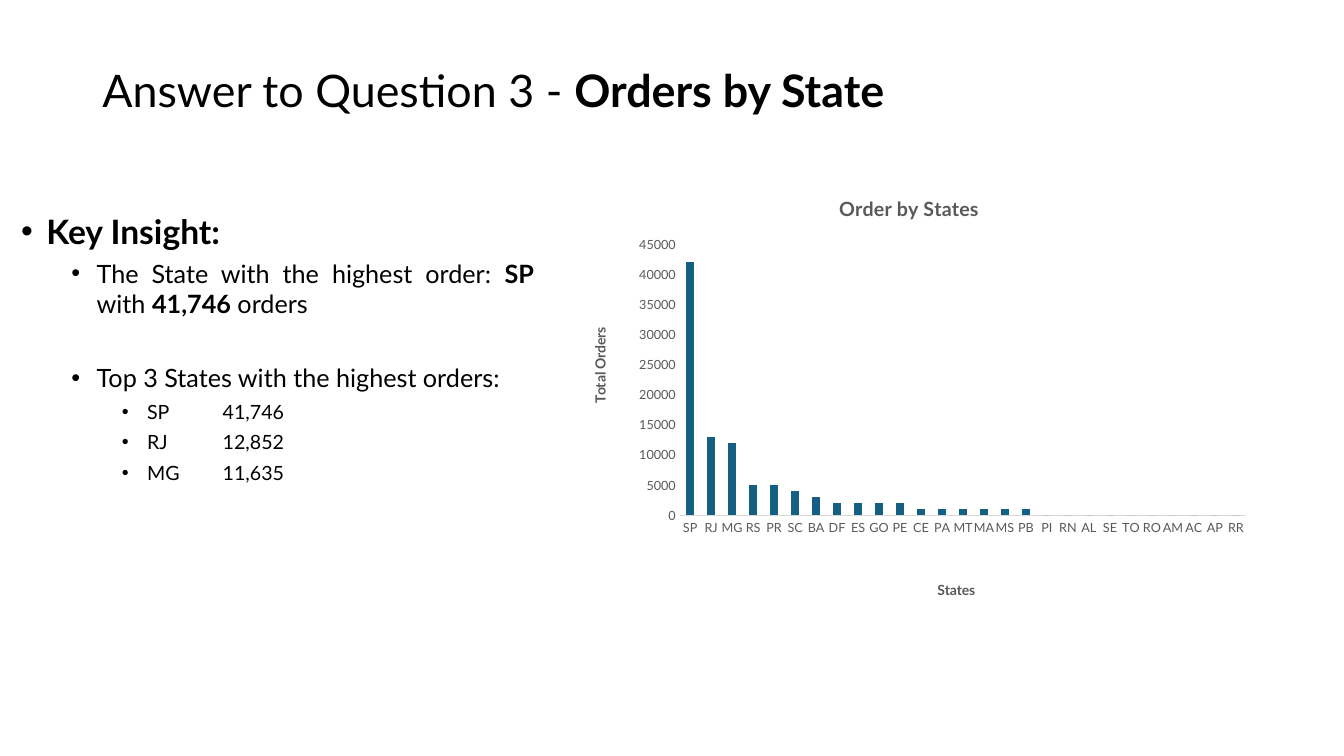
"""Build the slide that shows orders by state."""
from pptx import Presentation
from pptx.chart.data import CategoryChartData as ChartData
from pptx.dml.color import RGBColor
from pptx.enum.chart import XL_CHART_TYPE as ChartType, XL_TICK_MARK as TickMark
from pptx.enum.text import MSO_ANCHOR as Anchor, PP_ALIGN as Align
from pptx.oxml import parse_xml
from pptx.oxml.ns import nsdecls, qn
from pptx.util import Pt

FONT = "Lato"
COLORS = {"text": "000000", "chart_text": "595959", "bar": "156082", "axis": "D9D9D9"}
TITLE = [("Answer to Question 3 - ", False), ("Orders by State", True)]
INSIGHTS = [
    (18, 24, 0, [("Key Insight:", True)]),
    (54, 18, 5, [("The State with the highest order: ", False), ("SP ", True),
                 ("with ", False), ("41,746", True), (" orders", False)]),
    (54, 18, 31.5, [("Top 3 States with the highest orders:", False)]),
    (90, 14, 5, [("SP\t41,746", False)]),
    (90, 14, 5, [("RJ\t12,852", False)]),
    (90, 14, 5, [("MG\t11,635", False)]),
]
STATES = ("SP RJ MG RS PR SC BA DF ES GO PE CE PA MT "
          "MA MS PB PI RN AL SE TO RO AM AC AP RR").split()
THOUSANDS = [42, 13, 12, 5, 5, 4, 3] + [2] * 4 + [1] * 6 + [0] * 10


def set_attributes(target, values):
    """Set each named attribute of the target."""
    for name, value in values.items():
        setattr(target, name, value)


def format_font(font, size, color, bold=False):
    """Apply the slide's typeface with a size, colour and weight."""
    set_attributes(font, {"name": FONT, "size": Pt(size), "bold": bold})
    font.color.rgb = RGBColor.from_string(COLORS[color])


def add_runs(paragraph, runs, size):
    """Write the text and weight pairs into a paragraph."""
    for text, bold in runs:
        run = paragraph.add_run()
        run.text = text
        format_font(run.font, size, "text", bold)


def add_text_frame(slide, box, anchor):
    """Add a wrapping text box and return its text frame."""
    frame = slide.shapes.add_textbox(*map(Pt, box)).text_frame
    set_attributes(frame, {"word_wrap": True, "vertical_anchor": anchor})
    return frame


def add_title(slide):
    """Add the slide heading."""
    paragraph = add_text_frame(slide, (66, 28.75, 828, 75), Anchor.MIDDLE).paragraphs[0]
    paragraph.line_spacing = 0.9
    add_runs(paragraph, TITLE, 32)


def add_bullet(paragraph, indent):
    """Give a paragraph a hanging bullet and one-inch tab stops."""
    properties = paragraph._p.get_or_add_pPr()
    for name, length in {"marL": indent, "indent": -18, "defTabSz": 72}.items():
        properties.set(name, str(Pt(length)))
    properties.append(parse_xml(f'<a:buFont {nsdecls("a")} typeface="Arial"/>'))
    properties.append(parse_xml(f'<a:buChar {nsdecls("a")} char="•"/>'))


def add_insights(slide):
    """Add the bulleted findings."""
    frame = add_text_frame(slide, (8, 147, 380, 260.5), Anchor.TOP)
    for index, (indent, size, gap, runs) in enumerate(INSIGHTS):
        paragraph = frame.add_paragraph() if index else frame.paragraphs[0]
        set_attributes(paragraph, {"alignment": Align.JUSTIFY, "space_before": Pt(gap)})
        add_bullet(paragraph, indent)
        add_runs(paragraph, runs, size)


def make_layout(values, inner=False):
    """Return a manual chart layout from fractions of the chart area."""
    target = '<c:layoutTarget val="inner"/>' if inner else ""
    modes = "".join(f'<c:{name}Mode val="edge"/>' for name in "xy")
    sizes = "".join(f'<c:{name} val="{value}"/>' for name, value in zip("xywh", values))
    return parse_xml(f'<c:layout {nsdecls("c")}><c:manualLayout>{target}{modes}{sizes}'
                     "</c:manualLayout></c:layout>")


def set_chart_title(title, text, size, position):
    """Write and place the title of a chart or an axis."""
    paragraph = title.text_frame.paragraphs[0]
    run = paragraph.add_run()
    run.text = text
    format_font(run.font, size, "chart_text", True)
    element = title._element
    for layout in element.findall(qn("c:layout")):
        element.remove(layout)
    element.find(qn("c:tx")).addnext(make_layout(position))


def format_axis(axis, title, position):
    """Style an axis without gridlines or tick marks."""
    set_attributes(axis, {
        "has_major_gridlines": False, "has_minor_gridlines": False,
        "major_tick_mark": TickMark.NONE, "minor_tick_mark": TickMark.NONE,
        "has_title": True,
    })
    format_font(axis.tick_labels.font, 9, "chart_text")
    set_chart_title(axis.axis_title, title, 10, position)


def add_orders_chart(slide):
    """Add the column chart of orders by state."""
    data = ChartData()
    data.categories = STATES
    data.add_series("Series 1", [count * 1000 for count in THOUSANDS])
    chart = slide.shapes.add_chart(
        ChartType.COLUMN_STACKED, *map(Pt, (399.5, 127, 506, 317.5)), data).chart
    set_attributes(chart, {"has_legend": False, "has_title": True})
    format_font(chart.font, 10, "text")
    set_chart_title(chart.chart_title, "Order by States", 14, (0.39, 0.03))

    category_axis, value_axis = chart.category_axis, chart.value_axis
    format_axis(category_axis, "States", (0.53, 0.9))
    category_axis.format.line.width = Pt(0.75)
    category_axis.format.line.color.rgb = RGBColor.from_string(COLORS["axis"])
    format_axis(value_axis, "Total Orders", (0.04, 0.33))
    set_attributes(value_axis, {
        "minimum_scale": 0, "maximum_scale": 45000, "major_unit": 5000})
    value_axis.format.line.fill.background()

    plot = chart.plots[0]
    set_attributes(plot, {"gap_width": 150, "overlap": 100, "vary_by_categories": False})
    fill = plot.series[0].format.fill
    fill.solid()
    fill.fore_color.rgb = RGBColor.from_string(COLORS["bar"])
    plot_area = chart._chartSpace.chart.plotArea
    for layout in plot_area.findall(qn("c:layout")):
        plot_area.remove(layout)
    plot_area.insert(0, make_layout((0.17, 0.15, 0.8, 0.61), inner=True))


def main():
    """Build and save the presentation."""
    presentation = Presentation()
    set_attributes(presentation, {"slide_width": Pt(960), "slide_height": Pt(540)})
    slide = presentation.slides.add_slide(presentation.slide_layouts[6])
    add_title(slide)
    add_insights(slide)
    add_orders_chart(slide)
    presentation.save("out.pptx")


if __name__ == "__main__":
    main()
